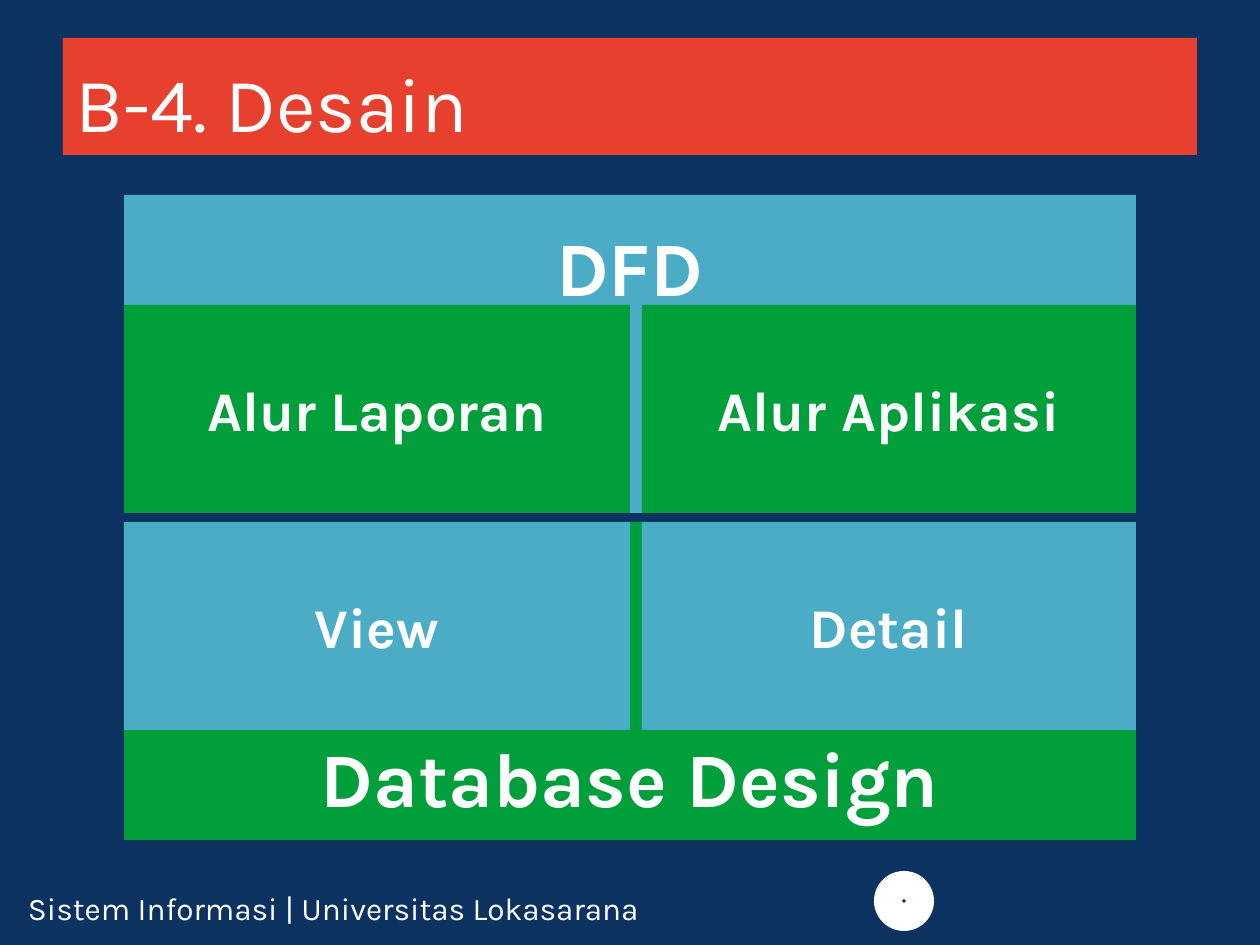
from dataclasses import dataclass

import pptx
import pptx.dml.color
import pptx.enum.shapes
import pptx.enum.text
import pptx.util

RGBColor = pptx.dml.color.RGBColor
Shape = pptx.enum.shapes.MSO_SHAPE
Anchor = pptx.enum.text.MSO_ANCHOR
Align = pptx.enum.text.PP_ALIGN

NAVY = RGBColor(0x0B, 0x32, 0x61)
RED = RGBColor(0xE8, 0x40, 0x2E)
BLUE = RGBColor(0x4B, 0xAC, 0xC6)
GREEN = RGBColor(0x00, 0x9F, 0x3C)
WHITE = RGBColor(0xFF, 0xFF, 0xFF)
FONT = "Karla"
EMU_PER_PX = 914400 / 126

GRID_LEFT, GRID_WIDTH = 124, 1012
LEFT_WIDTH, COLUMN_GAP = 506, 12
BLOCK_HEIGHT, CELL_HEIGHT = 318, 208
BLOCK_TOPS = (195, 522)


@dataclass(frozen=True)
class Box:
    left: int
    top: int
    width: int
    height: int


@dataclass(frozen=True)
class Block:
    """A headed band with two cells along its top or bottom edge."""
    heading: str
    cells: tuple[str, str]
    box: Box
    cell_top: int
    fill: RGBColor
    cell_fill: RGBColor
    anchor: Anchor
    pad_top: int = 6
    pad_bottom: int = 6


BLOCKS = (
    Block("DFD", ("Alur Laporan", "Alur Aplikasi"),
          Box(GRID_LEFT, BLOCK_TOPS[0], GRID_WIDTH, BLOCK_HEIGHT),
          BLOCK_TOPS[0] + BLOCK_HEIGHT - CELL_HEIGHT,
          BLUE, GREEN, Anchor.TOP, pad_top=25),
    Block("Database Design", ("View", "Detail"),
          Box(GRID_LEFT, BLOCK_TOPS[1], GRID_WIDTH, BLOCK_HEIGHT),
          BLOCK_TOPS[1],
          GREEN, BLUE, Anchor.BOTTOM, pad_bottom=17),
)


def px(n: int) -> pptx.util.Emu:
    return pptx.util.Emu(round(n * EMU_PER_PX))


def place(box: Box) -> tuple[pptx.util.Emu, ...]:
    return px(box.left), px(box.top), px(box.width), px(box.height)


def write(s, text: str, *, size: int, bold: bool = False, align=Align.LEFT,
          anchor=Anchor.MIDDLE, pad_top: int = 6, pad_bottom: int = 6) -> None:
    tf = s.text_frame
    tf.word_wrap = True
    tf.vertical_anchor = anchor
    tf.margin_left = tf.margin_right = px(13)
    tf.margin_top, tf.margin_bottom = px(pad_top), px(pad_bottom)
    p = tf.paragraphs[0]
    p.alignment = align
    r = p.add_run()
    r.text = text
    r.font.name = FONT
    r.font.size = pptx.util.Pt(size)
    r.font.bold = bold
    r.font.color.rgb = WHITE


def add_filled(slide, box: Box, fill: RGBColor, kind=Shape.RECTANGLE):
    s = slide.shapes.add_shape(kind, *place(box))
    s.shadow.inherit = False
    s.fill.solid()
    s.fill.fore_color.rgb = fill
    s.line.fill.background()
    return s


def add_block(slide, block: Block) -> None:
    band = add_filled(slide, block.box, block.fill)
    write(band, block.heading, size=44, bold=True, align=Align.CENTER,
          anchor=block.anchor, pad_top=block.pad_top,
          pad_bottom=block.pad_bottom)
    right_offset = LEFT_WIDTH + COLUMN_GAP
    columns = ((0, LEFT_WIDTH), (right_offset, GRID_WIDTH - right_offset))
    for text, (offset, width) in zip(block.cells, columns):
        box = Box(GRID_LEFT + offset, block.cell_top, width, CELL_HEIGHT)
        cell = add_filled(slide, box, block.cell_fill)
        write(cell, text, size=32, bold=True, align=Align.CENTER)


def add_footer(slide) -> None:
    footer = slide.shapes.add_textbox(*place(Box(15, 883, 1071, 43)))
    write(footer, "Sistem Informasi | Universitas Lokasarana", size=18,
          anchor=Anchor.TOP)
    ring = add_filled(slide, Box(874, 871, 60, 60), WHITE, Shape.DONUT)
    ring.adjustments[0] = 0.47


def main() -> None:
    prs = pptx.Presentation()
    prs.slide_width, prs.slide_height = px(1260), px(945)
    slide = prs.slides.add_slide(prs.slide_layouts[6])
    slide.background.fill.solid()
    slide.background.fill.fore_color.rgb = NAVY

    add_footer(slide)
    title = add_filled(slide, Box(63, 38, 1134, 117), RED)
    write(title, "B-4. Desain", size=44, pad_top=16)
    for block in BLOCKS:
        add_block(slide, block)
    prs.save("out.pptx")


if __name__ == "__main__":
    main()
